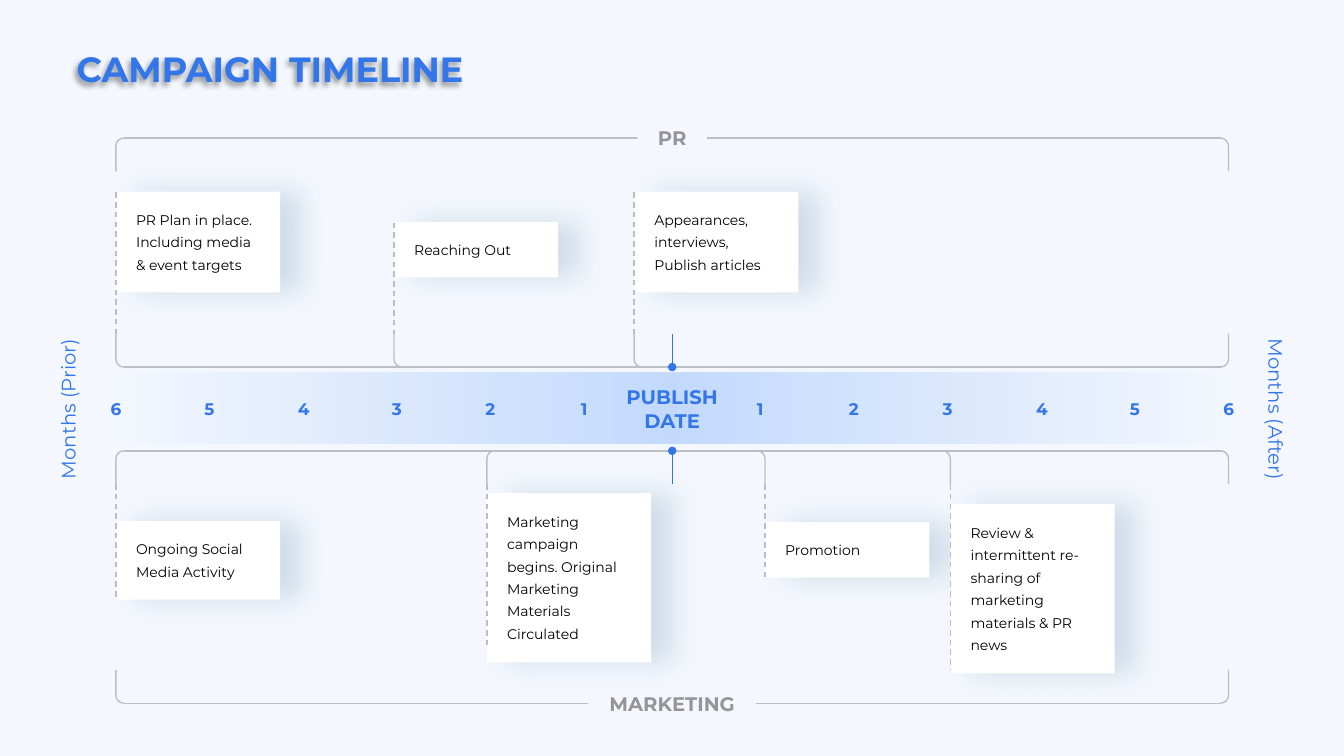
import pptx
import pptx.util
import pptx.dml.color
import pptx.enum.dml
import pptx.enum.shapes
import pptx.enum.text
import pptx.oxml
import pptx.oxml.ns
from lxml import etree

Cm = pptx.util.Cm
Pt = pptx.util.Pt
RGB = pptx.dml.color.RGBColor
RECT = pptx.enum.shapes.MSO_SHAPE.RECTANGLE
LINE = pptx.enum.shapes.MSO_CONNECTOR.STRAIGHT
DASH = pptx.enum.dml.MSO_LINE.DASH
ALIGN = pptx.enum.text.PP_ALIGN
ANCHOR = pptx.enum.text.MSO_ANCHOR
qn = pptx.oxml.ns.qn
NS = 'xmlns:a="http://schemas.openxmlformats.org/drawingml/2006/main"'

BLUE = RGB(0x33, 0x76, 0xE9)
GREY = RGB(0xBC, 0xBF, 0xC2)
SLATE = RGB(0x93, 0x95, 0x98)
PALE = RGB(0xF4, 0xF8, 0xFE)
WHITE = RGB(0xFF, 0xFF, 0xFF)
BLACK = RGB(0, 0, 0)

LEFT, RIGHT, MID = 2.92, 30.96, 16.94
FOOT, BEND = 0.84, 0.2
PR, ABOVE, BELOW, MARKET = 3.48, 9.25, 11.36, 17.72


def write(shape, text, color, size, bold, frame, para):
    """Put one paragraph in a shape, with dicts of frame and paragraph values."""
    box = shape.text_frame
    for name, value in frame.items():
        setattr(box, name, value)
    line = box.paragraphs[0]
    line.text = text
    for name, value in para.items():
        setattr(line, name, value)
    for name, value in {"name": "Montserrat", "size": Pt(size), "bold": bold}.items():
        setattr(line.font, name, value)
    line.font.color.rgb = color


def shade(shape, color, alpha, blur, dist, angle):
    """Add an outer shadow; alpha in percent, blur and dist in points."""
    shape._element.spPr.append(pptx.oxml.parse_xml(
        f'<a:effectLst {NS}><a:outerShdw blurRad="{Pt(blur)}" dist="{Pt(dist)}" '
        f'dir="{angle * 60000}" algn="ctr" rotWithShape="0"><a:srgbClr val="{color}">'
        f'<a:alpha val="{alpha * 1000}"/></a:srgbClr></a:outerShdw></a:effectLst>'))


deck = pptx.Presentation()
deck.slide_width, deck.slide_height = Cm(33.87), Cm(19.05)
slide = deck.slides.add_slide(deck.slide_layouts[6])
slide.background.fill.solid()
slide.background.fill.fore_color.rgb = PALE
shapes = slide.shapes

# Band that fades out at both ends
band = shapes.add_shape(RECT, Cm(LEFT), Cm(9.4), Cm(RIGHT - LEFT), Cm(1.78))
band.shadow.inherit = False
band.line.fill.background()
band.fill.gradient()
band.fill.gradient_angle = 0
stops = band._element.spPr.find(qn("a:gradFill")).find(qn("a:gsLst"))
for stop in list(stops):
    stops.remove(stop)
for place, alpha in ((0, 0), (50, 50), (100, 0)):
    stops.append(pptx.oxml.parse_xml(
        f'<a:gs {NS} pos="{place * 1000}"><a:srgbClr val="93BCFC">'
        f'<a:alpha val="{alpha * 1000}"/></a:srgbClr></a:gs>'))

# Rails: height and the way their feet point
lines, bends = [], []
for y, way in ((PR, 1), (ABOVE, -1), (BELOW, 1), (MARKET, -1)):
    lines.append((LEFT + BEND, y, RIGHT - BEND, y, GREY, ""))
    bends += [(LEFT, y, 1, way), (RIGHT, y, -1, way)]
for y, way in ((ABOVE, -1), (BELOW, 1)):
    lines.append((MID, y + way * FOOT, MID, y, BLUE, "oval"))

# Cards: left, top, height, stem end, side of the bend (0: on the rail's end), text
cards = [
    (LEFT, 13.13, 1.98, 15.09, 0, "Ongoing Social Media Activity"),
    (12.27, 12.42, 4.27, 16.33, 1,
     "Marketing campaign begins. Original Marketing Materials Circulated"),
    (19.28, 13.16, 1.4, 14.53, -1, "Promotion"),
    (23.95, 12.7, 4.27, 16.89, -1,
     "Review & intermittent re-sharing of marketing materials & PR news"),
    (LEFT, 4.83, 2.54, 4.85, 0, "PR Plan in place. Including media & event targets"),
    (9.93, 5.59, 1.4, 5.61, 1, "Reaching Out"),
    (15.98, 4.83, 2.54, 4.85, 1, "Appearances, interviews, Publish articles"),
]
inset = {"margin_left": Cm(0.51), "margin_right": Cm(0.51),
         "vertical_anchor": ANCHOR.MIDDLE}
roomy = {**inset, "margin_top": Cm(0.38), "margin_bottom": Cm(0.51), "word_wrap": True}
tight = {**inset, "margin_top": Cm(0.13), "margin_bottom": Cm(0.13), "word_wrap": False}
for x, top, high, end, side, text in cards:
    card = shapes.add_shape(RECT, Cm(x), Cm(top), Cm(4.14), Cm(high))
    card.fill.solid()
    card.fill.fore_color.rgb = WHITE
    card.line.fill.background()
    shade(card, "00406D", 15, 21, 15, 0)
    write(card, text, BLACK, 10, False, roomy,
          {"alignment": ALIGN.LEFT, "line_spacing": Pt(16)})
    y, way = (ABOVE, -1) if top < ABOVE else (BELOW, 1)
    foot = y + way * FOOT
    lines.append((x, min(foot, end), x, max(foot, end), GREY, "dash"))
    if side:
        bends.append((x, y, side, way))

for x1, y1, x2, y2, color, style in lines:
    line = shapes.add_connector(LINE, Cm(x1), Cm(y1), Cm(x2), Cm(y2))
    line.line.color.rgb = color
    line.line.width = Pt(1)
    if style == "dash":
        line.line.dash_style = DASH
    if style == "oval":
        etree.SubElement(line.line._get_or_add_ln(), qn("a:tailEnd"), type="oval")
    etree.SubElement(line._element.spPr, qn("a:effectLst"))

for x, y, side, way in bends:
    points = [(x, y + way * BEND), (x, y + way * 0.09), (x + side * 0.09, y),
              (x + side * BEND, y)]
    pen = shapes.build_freeform(Cm(x), Cm(y + way * FOOT))
    pen.add_line_segments([(Cm(a), Cm(b)) for a, b in points], close=False)
    bend = pen.convert_to_shape()
    bend.shadow.inherit = False
    bend.fill.background()
    bend.line.color.rgb = GREY
    bend.line.width = Pt(1)
    # The last three points become one curve
    route = next(bend._element.iter(qn("a:path")))
    curve = etree.SubElement(route, qn("a:cubicBezTo"))
    for step in route.findall(qn("a:lnTo"))[1:]:
        curve.append(step[0])
        route.remove(step)

# Labels: text, centre, size, font size, bold, colour, turn
labels = [
    ("PUBLISH\nDATE", MID, 10.3, 3.35, 1.45, 14, True, BLUE, 0),
    ("Months (Prior)", 1.71, 10.31, 4.75, 0.86, 14, False, BLUE, 270),
    ("Months (After)", 32.16, 10.31, 4.62, 0.86, 14, False, BLUE, 90),
    ("PR", MID, 3.48, 1.75, 0.86, 14, True, SLATE, 0),
    ("MARKETING", MID, 17.73, 4.22, 0.86, 14, True, SLATE, 0),
]
for i in range(6):
    for x in (LEFT + 2.36 * i, RIGHT - 2.36 * i):
        labels.append((str(6 - i), x, 10.3, 1.28, 0.76, 12, True, BLUE, 0))
for text, x, y, wide, high, size, bold, color, turn in labels:
    label = shapes.add_textbox(Cm(x - wide / 2), Cm(y - high / 2), Cm(wide), Cm(high))
    label.rotation = turn
    if color == SLATE:
        label.fill.solid()
        label.fill.fore_color.rgb = PALE
    write(label, text, color, size, bold, tight, {"alignment": ALIGN.CENTER})

title = shapes.add_textbox(Cm(1.68), Cm(1.07), Cm(10.44), Cm(1.32))
shade(title, "000000", 40, 4, 3, 135)
write(title, "CAMPAIGN TIMELINE", BLUE, 25, True, {"word_wrap": False},
      {"alignment": ALIGN.LEFT})

deck.save("out.pptx")
